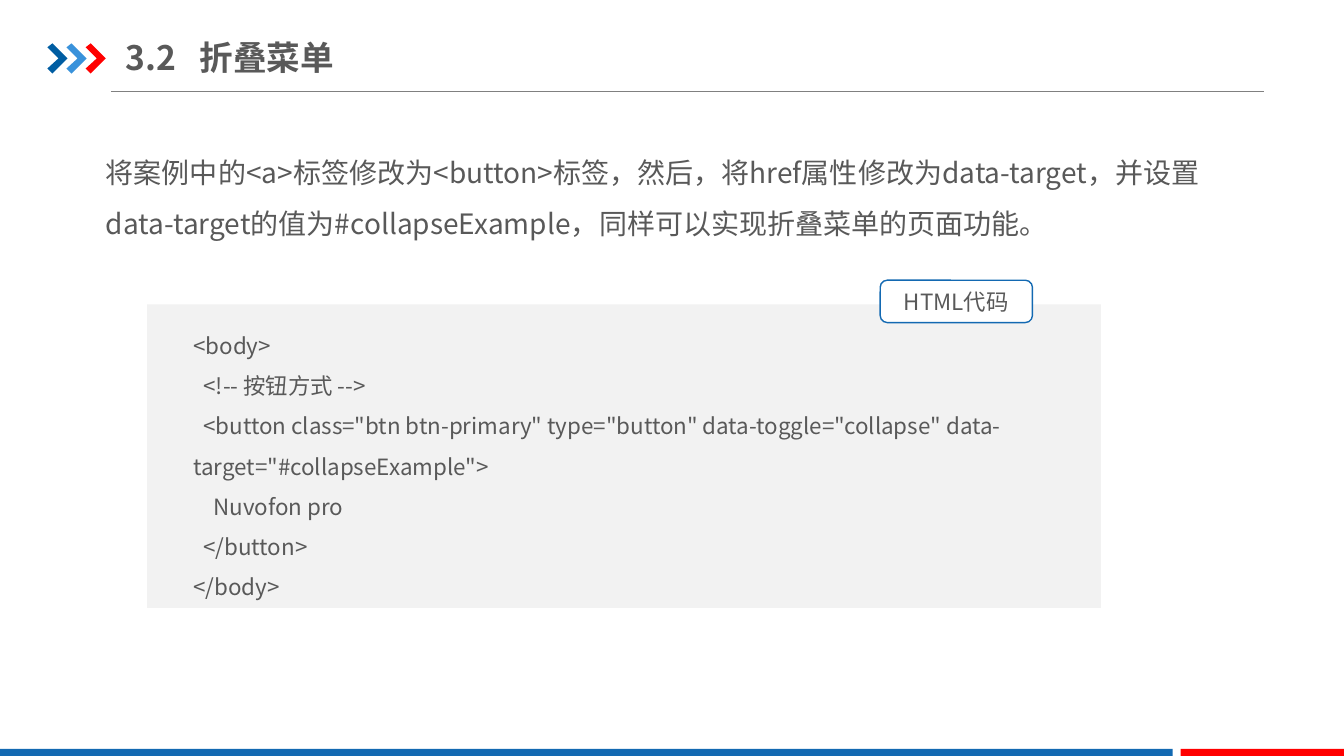
"""Builds the slide on collapsible menus made with a button tag."""
from lxml import etree
from pptx import Presentation
from pptx.dml.color import RGBColor
from pptx.enum.shapes import MSO_CONNECTOR, MSO_SHAPE
from pptx.enum.text import MSO_ANCHOR, MSO_AUTO_SIZE, PP_ALIGN
from pptx.oxml.ns import qn
from pptx.util import Inches, Pt

FONT = "Noto Sans CJK SC"
TEXT = RGBColor(0x59, 0x59, 0x59)
RULE = RGBColor(0x80, 0x80, 0x80)
NAVY = RGBColor(0x00, 0x5D, 0xA2)
SKY = RGBColor(0x39, 0x92, 0xDB)
RED = RGBColor(0xFF, 0x00, 0x00)
BLUE = RGBColor(0x13, 0x69, 0xB2)
PANEL = RGBColor(0xF2, 0xF2, 0xF2)
WHITE = RGBColor(0xFF, 0xFF, 0xFF)

CHEVRON = [(0, 0.04), (0.05, 0), (0.2, 0.15), (0.05, 0.3), (0, 0.25), (0.11, 0.15)]
TITLE = "3.2\t折叠菜单"
EXPLANATION = (
    "将案例中的<a>标签修改为<button>标签，然后，将href属性修改为data-target，"
    "并设置data-target的值为#collapseExample，同样可以实现折叠菜单的页面功能。"
)
CODE = [
    "<body>",
    "  <!-- 按钮方式 -->",
    '  <button class="btn btn-primary" type="button" data-toggle="collapse" '
    'data-target="#collapseExample">',
    "    Nuvofon pro",
    "  </button>",
    "</body>",
]


def paint(shape, fill, line=None):
    """Give a shape a flat fill and an optional outline."""
    shape.shadow.inherit = False
    shape.fill.solid()
    shape.fill.fore_color.rgb = fill
    if line is None:
        shape.line.fill.background()
    else:
        shape.line.color.rgb = line
        shape.line.width = Pt(1)


def add_block(slide, kind, left, top, width, height, fill, line=None):
    """Add a filled preset shape."""
    block = slide.shapes.add_shape(
        kind, Inches(left), Inches(top), Inches(width), Inches(height))
    paint(block, fill, line)
    return block


def style(paragraph, size, bold=False):
    """Set the font of a whole paragraph, for Latin and Chinese letters."""
    font = paragraph.font
    font.size = Pt(size)
    font.bold = bold
    font.name = FONT
    font.color.rgb = TEXT
    defaults = paragraph._p.pPr.find(qn("a:defRPr"))
    latin = defaults.find(qn("a:latin"))
    east_asian = etree.Element(qn("a:ea"), typeface=FONT)
    latin.addnext(east_asian)


def add_text(slide, left, top, width, height, margins=(0.1, 0.05)):
    """Add a wrapping text box and return its frame."""
    frame = slide.shapes.add_textbox(
        Inches(left), Inches(top), Inches(width), Inches(height)).text_frame
    frame.word_wrap = True
    frame.margin_left = frame.margin_right = Inches(margins[0])
    frame.margin_top = frame.margin_bottom = Inches(margins[1])
    return frame


def add_paragraphs(frame, lines, size):
    """Fill a growing frame with widely spaced lines."""
    frame.auto_size = MSO_AUTO_SIZE.SHAPE_TO_FIT_TEXT
    frame.text = "\n".join(lines)
    for paragraph in frame.paragraphs:
        paragraph.line_spacing = 1.5
        style(paragraph, size)


def add_header(slide, left, top, width):
    """Draw the three chevrons, the title and the rule below it."""
    rule_top = Inches(top + 0.62)
    rule = slide.shapes.add_connector(
        MSO_CONNECTOR.STRAIGHT, Inches(left + 0.63), rule_top,
        Inches(left + width), rule_top)
    rule.line.color.rgb = RULE
    rule.line.width = Pt(0.75)
    etree.SubElement(rule._element.spPr, qn("a:effectLst"))

    for index, color in enumerate((NAVY, SKY, RED)):
        points = [(Inches(left + 0.19 * index + x), Inches(top + 0.14 + y))
                  for x, y in CHEVRON]
        outline = slide.shapes.build_freeform(*points[0])
        outline.add_line_segments(points[1:], close=True)
        paint(outline.convert_to_shape(), color)

    frame = add_text(slide, left + 0.78, top, 4.86, 0.55, (0, 0.07))
    frame.vertical_anchor = MSO_ANCHOR.MIDDLE
    title = frame.paragraphs[0]
    title.text = TITLE
    tabs = etree.SubElement(title._p.get_or_add_pPr(), qn("a:tabLst"))
    etree.SubElement(tabs, qn("a:tab"), pos=str(Inches(0.73)), algn="l")
    style(title, 24, bold=True)


def add_explanation(slide, left, top, width, height):
    """Write the paragraph that explains the change of tags."""
    frame = add_text(slide, left, top, width, height, (0.13, 0.07))
    add_paragraphs(frame, [EXPLANATION], 20)


def add_code_panel(slide, left, top, width, height):
    """Draw the code listing on its panel, with the language tag on top."""
    add_block(slide, MSO_SHAPE.RECTANGLE, left, top, width, height, PANEL)
    listing = add_text(slide, left + 0.36, top + 0.09, width - 0.51, height - 0.08)
    add_paragraphs(listing, CODE, 16)

    tag = add_block(slide, MSO_SHAPE.ROUNDED_RECTANGLE,
                    left + 7.27, top - 0.24, 1.51, 0.42, WHITE, BLUE)
    tag.text_frame.vertical_anchor = MSO_ANCHOR.MIDDLE
    label = tag.text_frame.paragraphs[0]
    label.text = "HTML代码"
    label.alignment = PP_ALIGN.CENTER
    style(label, 16)


def add_footer(slide, top, width, height):
    """Draw the blue and red bars along the bottom edge."""
    red_left = 11.71
    add_block(slide, MSO_SHAPE.RECTANGLE, 0, top, red_left - 0.08, height, BLUE)
    add_block(slide, MSO_SHAPE.RECTANGLE, red_left, top, width - red_left, height, RED)


def main():
    """Build the slide and save it."""
    deck = Presentation()
    deck.slide_width, deck.slide_height = Inches(13.33), Inches(7.5)
    slide = deck.slides.add_slide(deck.slide_layouts[6])
    add_header(slide, 0.47, 0.29, 12.07)
    add_footer(slide, 7.43, 13.33, 0.07)
    add_explanation(slide, 0.92, 1.31, 11.42, 1.08)
    add_code_panel(slide, 1.46, 3.02, 9.46, 3.01)
    deck.save("out.pptx")


if __name__ == "__main__":
    main()
